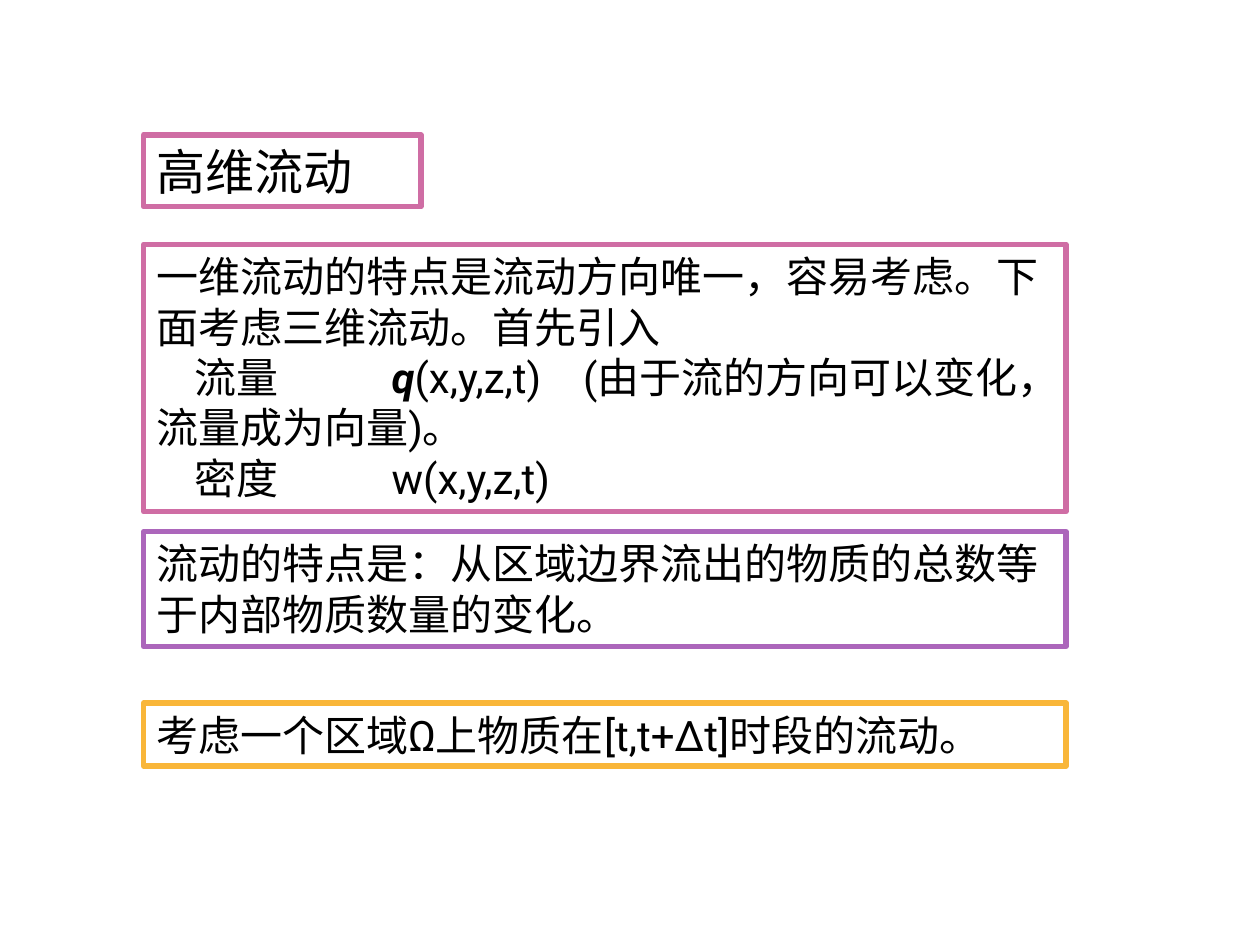
from dataclasses import dataclass

from lxml.etree import SubElement
from pptx import Presentation
from pptx.dml.color import RGBColor as Color
from pptx.enum.text import MSO_ANCHOR as Anchor
from pptx.enum.text import MSO_AUTO_SIZE as AutoSize
from pptx.enum.text import PP_ALIGN as Align
from pptx.oxml.ns import qn
from pptx.util import Inches, Pt


@dataclass(frozen=True)
class Theme:
    font: str = "Roboto"
    text: str = "000000"
    paper: str = "FFFFFF"
    pink: str = "CF6DA4"
    purple: str = "AC66BB"
    orange: str = "F9B639"
    title_size: int = 28
    body_size: int = 24
    border: float = 3.15


THEME = Theme()
LEFT, WIDTH = 1.14, 7.32
TERM_INDENT = 0.3
SYMBOL_GAP, REMARK_GAP = 59.5, 17.8


def frame_box(box, top, width, height, line_color):
    box.left, box.top = Inches(LEFT), Inches(top)
    box.width, box.height = Inches(width), Inches(height)
    box.fill.solid()
    box.fill.fore_color.rgb = Color.from_string(THEME.paper)
    box.line.color.rgb = Color.from_string(line_color)
    box.line.width = Pt(THEME.border)
    frame = box.text_frame
    frame.word_wrap = True
    frame.auto_size = AutoSize.NONE
    frame.vertical_anchor = Anchor.TOP


def format_para(para, size, indent=0):
    properties = para._p.get_or_add_pPr()
    properties.set("marL", "0")
    properties.set("indent", str(Inches(indent)))
    SubElement(properties, qn("a:buNone"))
    para.alignment = Align.LEFT
    para.line_spacing = 1.0
    para.space_before = para.space_after = Pt(0)
    para.font.name = THEME.font
    para.font.size = Pt(size)
    para.font.color.rgb = Color.from_string(THEME.text)


def write_text(box, text, size):
    para = box.text_frame.paragraphs[0]
    para.add_run().text = text
    format_para(para, size)


def add_gap(para, points):
    span = para.add_run()
    span.text = " "
    span._r.get_or_add_rPr().set("spc", str(round(points * 100)))


def add_term(box, label, symbol, arguments, remark="", vector=False):
    para = box.text_frame.add_paragraph()
    format_para(para, THEME.body_size, TERM_INDENT)
    para.add_run().text = label
    add_gap(para, SYMBOL_GAP)
    span = para.add_run()
    span.text = symbol
    if vector:
        span.font.bold = span.font.italic = True
    para.add_run().text = arguments
    if remark:
        add_gap(para, REMARK_GAP)
        para.add_run().text = remark


def add_statement(page, top, height, line_color, text):
    box = page.shapes.add_textbox(0, 0, 0, 0)
    frame_box(box, top, WIDTH, height, line_color)
    write_text(box, text, THEME.body_size)


def main():
    deck = Presentation()
    deck.slide_width, deck.slide_height = Inches(10), Inches(7.5)
    page = deck.slides.add_slide(deck.slide_layouts[1])

    title, body = page.placeholders
    frame_box(title, 1.07, 2.2, 0.57, THEME.pink)
    write_text(title, "高维流动", THEME.title_size)

    frame_box(body, 1.94, WIDTH, 2.12, THEME.pink)
    write_text(
        body,
        "一维流动的特点是流动方向唯一，容易考虑。下面考虑三维流动。首先引入",
        THEME.body_size,
    )
    add_term(
        body, "流量", "q", "(x,y,z,t)",
        remark="(由于流的方向可以变化，流量成为向量)。", vector=True,
    )
    add_term(body, "密度", "w", "(x,y,z,t)")

    add_statement(
        page, 4.22, 0.91, THEME.purple,
        "流动的特点是：从区域边界流出的物质的总数等于内部物质数量的变化。",
    )
    add_statement(
        page, 5.58, 0.5, THEME.orange,
        "考虑一个区域Ω上物质在[t,t+Δt]时段的流动。",
    )
    deck.save("out.pptx")


if __name__ == "__main__":
    main()
